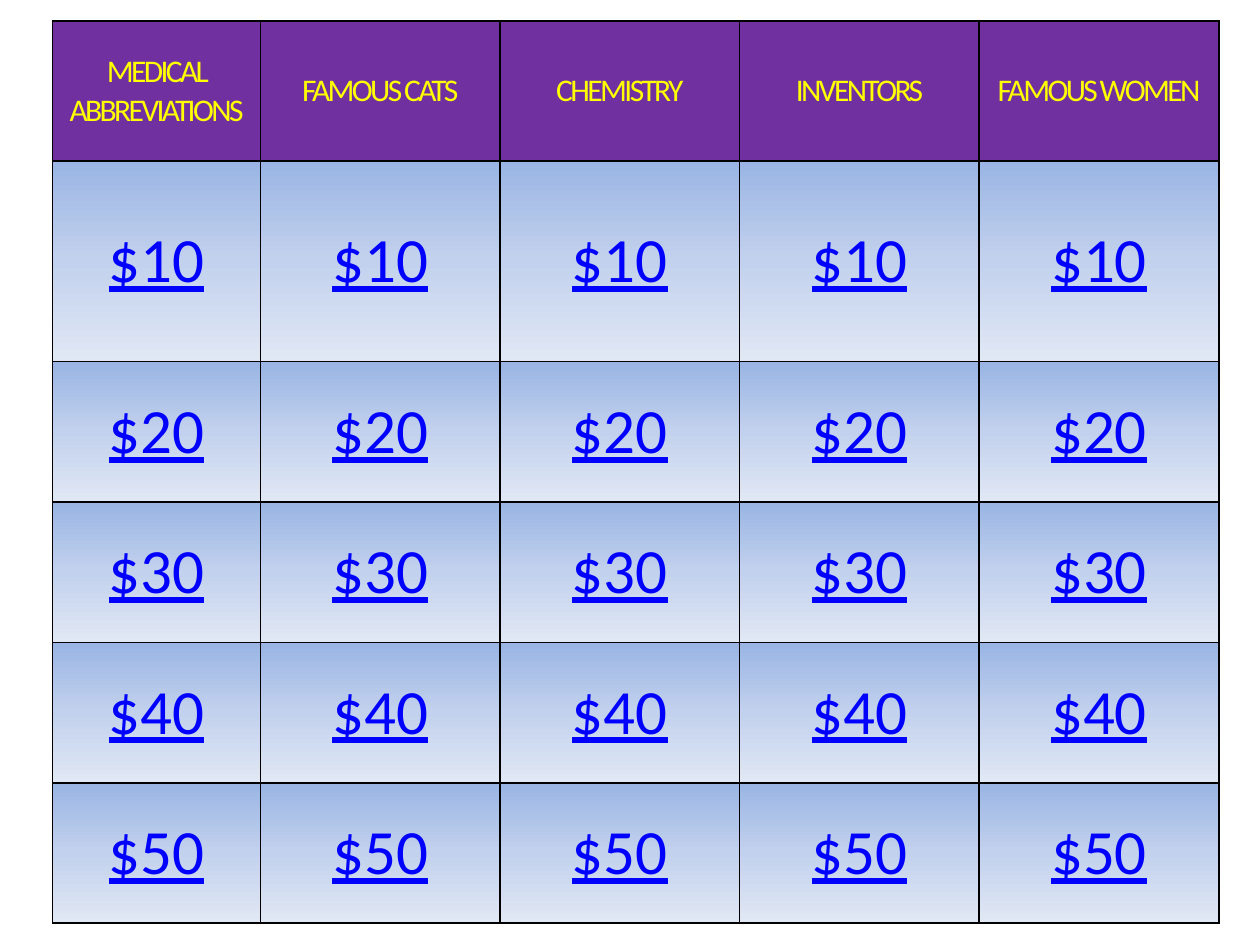
import copy

import pptx
import pptx.dml.color
import pptx.enum.dml
import pptx.enum.text
import pptx.oxml.ns
import pptx.util
from lxml import etree
from pptx.dml.color import RGBColor
from pptx.util import Cm

TOPICS = ["MEDICAL ABBREVIATIONS", "FAMOUS CATS", "CHEMISTRY", "INVENTORS",
          "FAMOUS WOMEN"]
PRIZES = ["$10", "$20", "$30", "$40", "$50"]

LEFT, TOP = 1.06, 0.42
WIDTHS = [4.19] + [4.83] * 4
HEIGHTS = [2.83, 4.04] + [2.83] * 4

FONT = "Calibri"
PURPLE = RGBColor(0x70, 0x30, 0xA0)
YELLOW = RGBColor(0xFF, 0xFF, 0x00)
BLUE = RGBColor(0x00, 0x00, 0xFF)
BLACK = RGBColor(0x00, 0x00, 0x00)
FADE = [(0, RGBColor(0x9A, 0xB5, 0xE4)),
        (0.5, RGBColor(0xC2, 0xD1, 0xED)),
        (1, RGBColor(0xE1, 0xE8, 0xF5))]


def add_text(cell, text, size, color, line=False, space=0):
    cell.vertical_anchor = pptx.enum.text.MSO_ANCHOR.MIDDLE
    para = cell.text_frame.paragraphs[0]
    para.alignment = pptx.enum.text.PP_ALIGN.CENTER
    run = para.add_run()
    run.text = text
    font = run.font
    font.name, font.size = FONT, pptx.util.Pt(size)
    font.underline = line
    font.color.rgb = color
    font._element.set("spc", str(int(space * 100)))


def add_edges(cell):
    qn = pptx.oxml.ns.qn
    props = cell._tc.get_or_add_tcPr()
    for side in "LRTB":
        edge = etree.SubElement(props, qn(f"a:ln{side}"),
                                w=str(pptx.util.Pt(1)))
        fill = etree.SubElement(edge, qn("a:solidFill"))
        etree.SubElement(fill, qn("a:srgbClr"), val=str(BLACK))


def fill_fade(cell):
    fill = cell.fill
    fill.gradient()
    fill.gradient_angle = 270
    stops = cell._tc.tcPr.find(".//" + pptx.oxml.ns.qn("a:gsLst"))
    stops.insert(1, copy.deepcopy(stops[0]))
    for stop, (place, color) in zip(fill.gradient_stops, FADE):
        stop.position = place
        stop.color.rgb = color


def main():
    deck = pptx.Presentation()
    deck.slide_width, deck.slide_height = Cm(25.4), Cm(19.05)
    slide = deck.slides.add_slide(deck.slide_layouts[6])
    board = slide.shapes.add_table(
        len(HEIGHTS), len(WIDTHS), Cm(LEFT), Cm(TOP),
        Cm(sum(WIDTHS)), Cm(sum(HEIGHTS))).table
    board.first_row = board.horz_banding = False
    for col, width in zip(board.columns, WIDTHS):
        col.width = Cm(width)
    for row, height in zip(board.rows, HEIGHTS):
        row.height = Cm(height)

    for cell in board.iter_cells():
        add_edges(cell)
    for col, topic in enumerate(TOPICS):
        head = board.cell(0, col)
        head.fill.solid()
        head.fill.fore_color.rgb = PURPLE
        add_text(head, topic, size=18, color=YELLOW, space=-1.5)
        for row, prize in enumerate(PRIZES, 1):
            cell = board.cell(row, col)
            fill_fade(cell)
            add_text(cell, prize, size=36, color=BLUE, line=True)
    deck.save("out.pptx")


if __name__ == "__main__":
    main()
